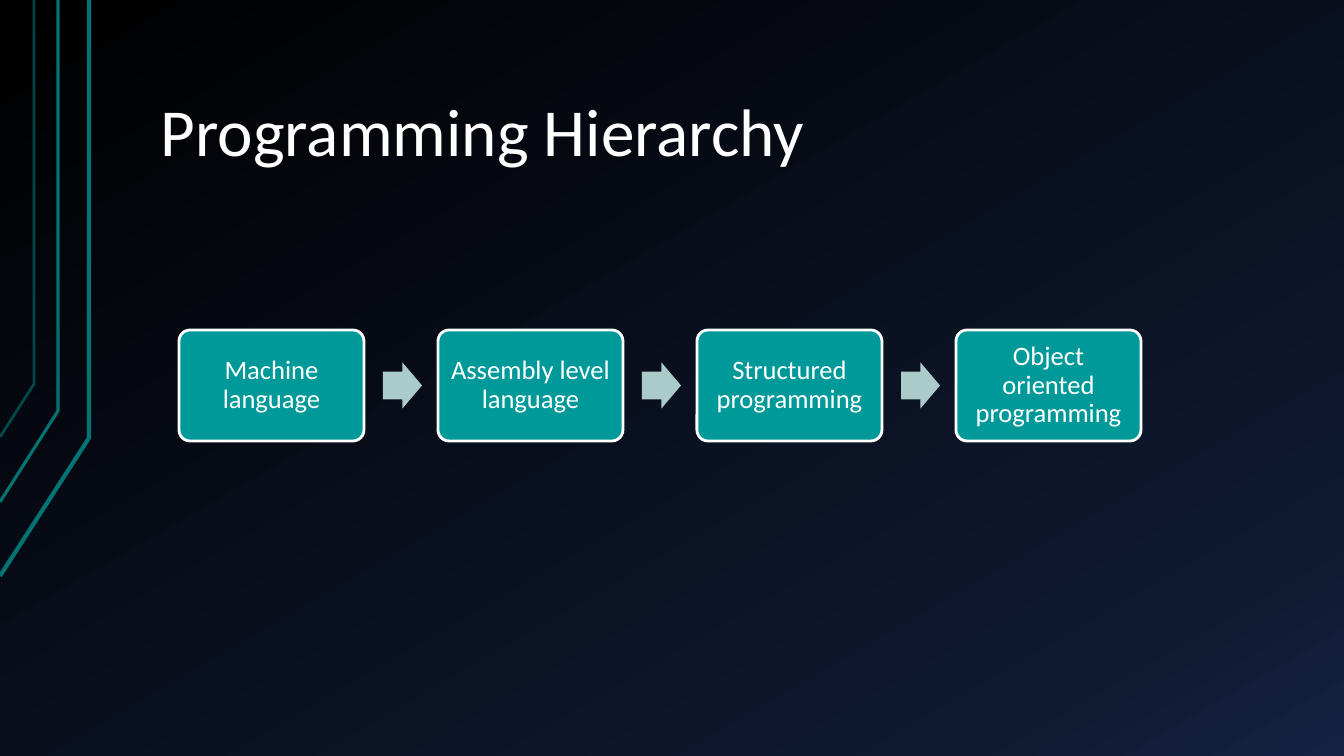
from copy import deepcopy

from lxml.etree import SubElement
from pptx import Presentation
from pptx.dml.color import RGBColor
from pptx.enum.shapes import MSO_SHAPE
from pptx.enum.text import MSO_ANCHOR, PP_ALIGN
from pptx.oxml.ns import qn
from pptx.util import Emu, Pt

COLORS = {
    "black": "000000",
    "navy": "0F1931",
    "blue": "142242",
    "trace": "007373",
    "card": "009999",
    "arrow": "ABCACA",
    "white": "FFFFFF",
}
STEPS = [
    "Machine language",
    "Assembly level language",
    "Structured programming",
    "Object oriented programming",
]
TRACES = [
    ([(0, 576), (89, 438), (89, 0)], 3, 100),
    ([(0, 502), (58, 411), (58, 0)], 2.25, 100),
    ([(0, 437), (34, 384), (34, 0)], 2, 60),
]


def px(length):
    """Turn pixels into EMU."""
    return Emu(round(length * 914400 / 100.8))


def color(name):
    """Look up a named colour."""
    return RGBColor.from_string(COLORS[name])


def write(shape, text, size, align, anchor, inset):
    """Put one styled paragraph into a shape."""
    frame = shape.text_frame
    across, down = map(px, inset)
    frame_format = {
        "word_wrap": True,
        "vertical_anchor": anchor,
        "margin_left": across,
        "margin_right": across,
        "margin_top": down,
        "margin_bottom": down,
    }
    for name, value in frame_format.items():
        setattr(frame, name, value)
    para = frame.paragraphs[0]
    para.alignment = align
    para.line_spacing = 0.9
    span = para.add_run()
    span.text = text
    for name, value in {"name": "Calibri", "size": Pt(size)}.items():
        setattr(span.font, name, value)
    span.font.color.rgb = color("white")


def add_background(page):
    """Fill the page with the diagonal dark gradient."""
    fill = page.background.fill
    fill.gradient()
    fill.gradient_angle = 300
    stop_list = next(page.element.iter(qn("a:gsLst")))
    stop_list.insert(1, deepcopy(stop_list[0]))
    stops = [("black", 0), ("navy", 0.85), ("blue", 1)]
    for stop, (name, position) in zip(fill.gradient_stops, stops):
        stop.color.rgb = color(name)
        stop.position = position


def add_traces(page, left, top):
    """Draw the bent circuit lines from the given corner."""
    for points, width, opacity in TRACES:
        start, *rest = [(px(left + x), px(top + y)) for x, y in points]
        builder = page.shapes.build_freeform(*start)
        builder.add_line_segments(rest, close=False)
        trace = builder.convert_to_shape()
        trace.shadow.inherit = False
        trace.fill.background()
        trace.line.color.rgb = color("trace")
        trace.line.width = Pt(width)
        if opacity < 100:
            tint = next(trace.line.fill._xPr.iter(qn("a:srgbClr")))
            SubElement(tint, qn("a:alpha"), val=str(opacity * 1000))


def add_title(page, left, top, width, height):
    """Place the heading at the bottom of its box."""
    box = page.shapes.add_textbox(px(left), px(top), px(width), px(height))
    write(box, "Programming Hierarchy", 48, PP_ALIGN.LEFT, MSO_ANCHOR.BOTTOM, (13, 7))


def add_block(page, kind, bounds, fill, adjustments):
    """Add one filled preset shape without a shadow."""
    block = page.shapes.add_shape(kind, *map(px, bounds))
    block.shadow.inherit = False
    block.fill.solid()
    block.fill.fore_color.rgb = color(fill)
    for index, value in enumerate(adjustments):
        block.adjustments[index] = value
    return block


def add_process(page, left, top, width, height):
    """Spread the step cards over the box, with arrows between them."""
    card_width, arrow_width, arrow_height = 185, 39, 46
    pitch = (width - card_width) / (len(STEPS) - 1)
    for index, step in enumerate(STEPS):
        x = left + index * pitch
        if index:
            bounds = (x - 55, top + (height - arrow_height) / 2, arrow_width, arrow_height)
            arrow = add_block(page, MSO_SHAPE.RIGHT_ARROW, bounds, "arrow", (0.6, 0.5))
            arrow.line.fill.background()
        bounds = (x, top, card_width, height)
        card = add_block(page, MSO_SHAPE.ROUNDED_RECTANGLE, bounds, "card", (0.1,))
        card.line.color.rgb = color("white")
        card.line.width = Pt(2)
        write(card, step, 19, PP_ALIGN.CENTER, MSO_ANCHOR.MIDDLE, (8, 8))


def main():
    """Build and save the deck."""
    deck = Presentation()
    deck.slide_width, deck.slide_height = px(1344), px(756)
    page = deck.slides.add_slide(deck.slide_layouts[6])
    add_background(page)
    add_traces(page, 0, 0)
    add_title(page, 148, 0, 963, 178)
    add_process(page, 179, 330, 962, 111)
    deck.save("out.pptx")


if __name__ == "__main__":
    main()
